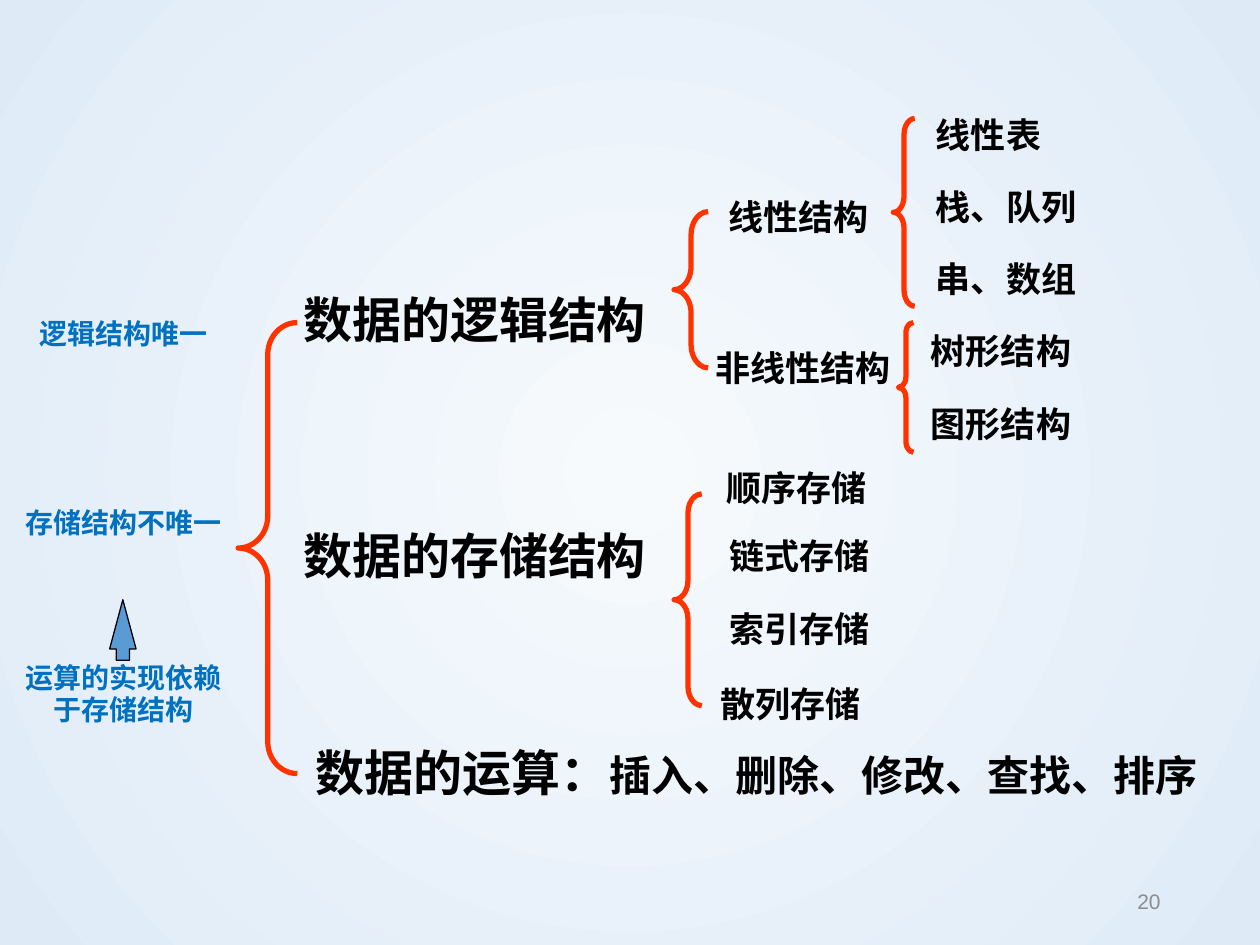
from dataclasses import dataclass

from lxml import etree
from pptx import Presentation
from pptx.dml.color import RGBColor
from pptx.enum.shapes import MSO_SHAPE
from pptx.enum.text import MSO_ANCHOR, PP_ALIGN
from pptx.oxml.ns import qn
from pptx.util import Inches, Pt

LEFT_BRACE = MSO_SHAPE.LEFT_BRACE
UP_ARROW = MSO_SHAPE.UP_ARROW
MIDDLE = MSO_ANCHOR.MIDDLE
LEFT, CENTER, RIGHT = PP_ALIGN.LEFT, PP_ALIGN.CENTER, PP_ALIGN.RIGHT
BLANK_LAYOUT = 6


@dataclass(frozen=True)
class Theme:
    """Colours, fonts and type sizes of the slide."""
    center: str = "F7FAFD"
    edge: str = "DEEBF7"
    brace: str = "FF3300"
    text: str = "000000"
    note: str = "0070C0"
    arrow: str = "5B9BD5"
    number: str = "8C8C8C"
    font: str = "Noto Sans CJK SC"
    number_font: str = "Arial"
    heading_size: int = 28
    operation_size: int = 24
    label_size: int = 20
    note_size: int = 16
    number_size: int = 12


THEME = Theme()
INSET = 0.1
HEADING_HEIGHT = 0.57
LABEL_HEIGHT = 0.44

BRACES = [
    (1.89, 2.56, 0.47, 3.58, 0.538),
    (5.35, 1.68, 0.27, 1.24, 0.689),
    (5.35, 3.92, 0.22, 1.68, 0.689),
    (7.09, 0.94, 0.17, 1.49, 0.744),
    (7.13, 2.56, 0.12, 1.03, 0.689),
]
HEADINGS = [("数据的逻辑结构", 2.31, 2.25), ("数据的存储结构", 2.31, 4.12)]
LABELS = [
    ("线性结构", 5.68, 1.5),
    ("非线性结构", 5.58, 2.7),
    ("顺序存储", 5.67, 3.65),
    ("链式存储", 5.69, 4.19),
    ("索引存储", 5.69, 4.77),
    ("散列存储", 5.62, 5.36),
    ("线性表", 7.33, 0.85),
    ("栈、队列", 7.33, 1.42),
    ("串、数组", 7.33, 1.99),
    ("树形结构", 7.29, 2.56),
    ("图形结构", 7.29, 3.14),
]
OPERATIONS = [
    ("数据的运算：", THEME.heading_size),
    ("插入、删除、修改、查找、排序", THEME.operation_size),
]
NOTES = [("逻辑结构唯一", 0), ("存储结构不唯一", 89.5), ("运算的实现依赖于存储结构", 70)]


def set_background(slide):
    """Fill the background with a gradient that spreads from the centre."""
    fill = slide.background.fill
    fill.gradient()
    for stop, position, color in zip(fill.gradient_stops, (0, 1), (THEME.center, THEME.edge)):
        stop.position = position
        stop.color.rgb = RGBColor.from_string(color)
    gradient = next(slide.element.iter(qn("a:gradFill")))
    gradient.remove(gradient.find(qn("a:lin")))
    circle = etree.SubElement(gradient, qn("a:path"), path="circle")
    etree.SubElement(circle, qn("a:fillToRect"), dict.fromkeys("ltrb", "50000"))


def add_outline(slide, kind, box, adjustments, color, width):
    """Add an unfilled preset shape with its adjustments and line."""
    shape = slide.shapes.add_shape(kind, *map(Inches, box))
    shape.shadow.inherit = False
    for index, value in enumerate(adjustments):
        shape.adjustments[index] = value
    shape.fill.background()
    shape.line.color.rgb = RGBColor.from_string(color)
    shape.line.width = Pt(width)
    return shape


def add_text_frame(slide, box, wrap):
    """Add a text box and return its text frame."""
    frame = slide.shapes.add_textbox(*map(Inches, box)).text_frame
    frame.word_wrap = wrap
    return frame


def format_paragraph(paragraph, size, color=THEME.text, align=LEFT, font=THEME.font, bold=True):
    """Set the alignment and font of a whole paragraph."""
    paragraph.alignment = align
    paragraph.font.size = Pt(size)
    paragraph.font.bold = bold
    paragraph.font.color.rgb = RGBColor.from_string(color)
    paragraph.font.name = font
    properties = next(paragraph._p.iter(qn("a:defRPr")))
    etree.SubElement(properties, qn("a:ea"), typeface=font)


def add_label(slide, parts, left, top, height):
    """Add one line of text in a box as wide as its full-width characters."""
    width = sum(len(text) * size for text, size in parts) / 72 + 2 * INSET
    frame = add_text_frame(slide, (left, top, width, height), False)
    frame.vertical_anchor = MIDDLE
    paragraph = frame.paragraphs[0]
    for text, size in parts:
        run = paragraph.add_run()
        run.text = text
        if len(parts) > 1:
            run.font.size = Pt(size)
    format_paragraph(paragraph, parts[0][1])


def add_notes_column(slide):
    """Add the blue remarks at the left as spaced paragraphs."""
    frame = add_text_frame(slide, (0.07, 2.47, 1.82, 3.51), True)
    for index, (text, space) in enumerate(NOTES):
        paragraph = frame.add_paragraph() if index else frame.paragraphs[0]
        paragraph.text = text
        paragraph.space_before = Pt(space)
        paragraph.line_spacing = Pt(18.5)
        format_paragraph(paragraph, THEME.note_size, THEME.note, CENTER)


def add_page_number(slide):
    """Add the page number at the lower right."""
    frame = add_text_frame(slide, (7.06, 6.95, 2.25, 0.4), True)
    frame.vertical_anchor = MIDDLE
    paragraph = frame.paragraphs[0]
    paragraph.text = "20"
    format_paragraph(paragraph, THEME.number_size, THEME.number, RIGHT, THEME.number_font, False)


def main():
    """Build the overview of data structures."""
    presentation = Presentation()
    presentation.slide_width, presentation.slide_height = Inches(10), Inches(7.5)
    slide = presentation.slides.add_slide(presentation.slide_layouts[BLANK_LAYOUT])
    set_background(slide)
    for *box, curve in BRACES:
        add_outline(slide, LEFT_BRACE, box, (curve, 0.5), THEME.brace, 3)
    for text, left, top in HEADINGS:
        add_label(slide, [(text, THEME.heading_size)], left, top, HEADING_HEIGHT)
    add_label(slide, OPERATIONS, 2.41, 5.84, HEADING_HEIGHT)
    for text, left, top in LABELS:
        add_label(slide, [(text, THEME.label_size)], left, top, LABEL_HEIGHT)
    add_notes_column(slide)
    arrow = add_outline(slide, UP_ARROW, (0.87, 4.76, 0.21, 0.48), (0.5, 1.861), THEME.text, 0.75)
    arrow.fill.solid()
    arrow.fill.fore_color.rgb = RGBColor.from_string(THEME.arrow)
    add_page_number(slide)
    presentation.save("out.pptx")


if __name__ == "__main__":
    main()
